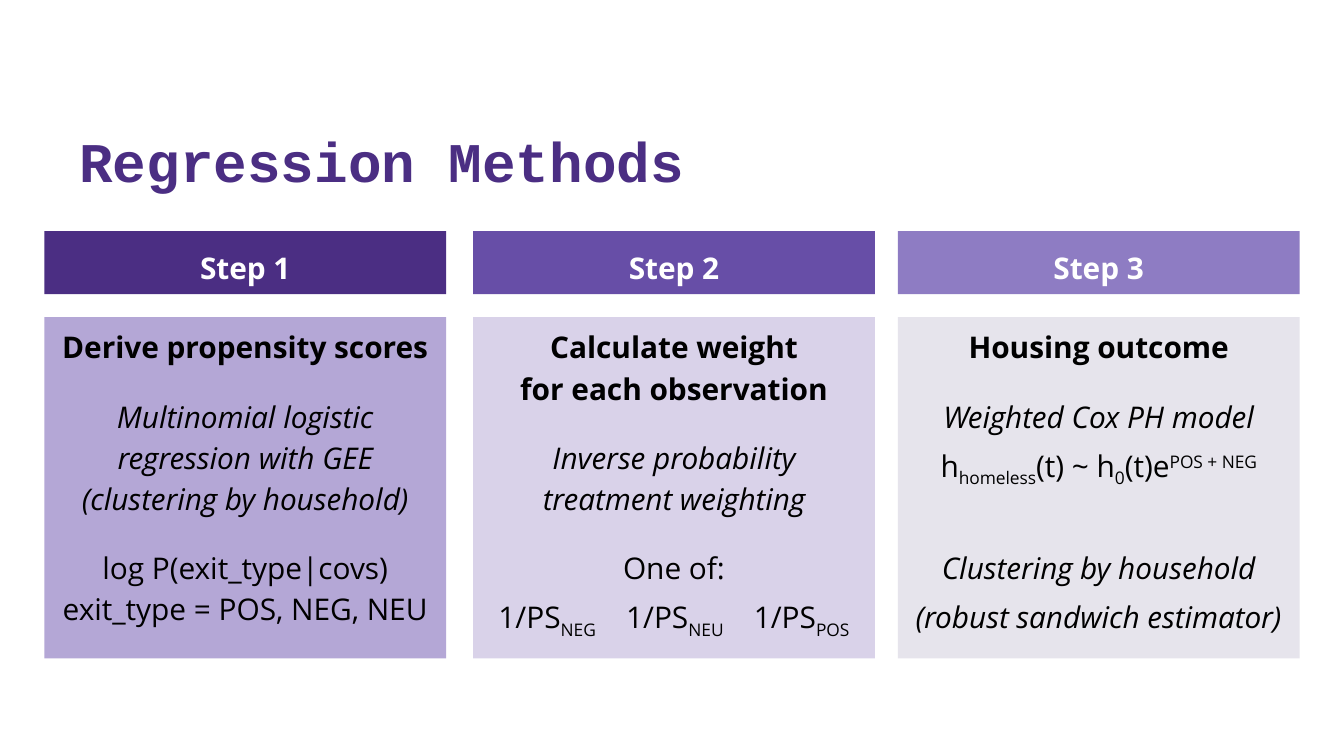
from dataclasses import dataclass

from lxml import etree
from pptx import Presentation
from pptx.dml.color import RGBColor
from pptx.enum.shapes import MSO_SHAPE
from pptx.enum.text import MSO_ANCHOR, MSO_AUTO_SIZE, PP_ALIGN
from pptx.oxml.ns import qn
from pptx.util import Inches, Pt

RECTANGLE = MSO_SHAPE.RECTANGLE
TOP, MIDDLE, BOTTOM = MSO_ANCHOR.TOP, MSO_ANCHOR.MIDDLE, MSO_ANCHOR.BOTTOM
LEFT, CENTER = PP_ALIGN.LEFT, PP_ALIGN.CENTER
NO_FIT = MSO_AUTO_SIZE.NONE
TITLE_ONLY = 5


@dataclass(frozen=True)
class Theme:
    title_font: str = "Courier New"
    body_font: str = "Open Sans"
    title_size: int = 30
    body_size: int = 16
    purple: str = "4B2E83"
    white: str = "FFFFFF"
    black: str = "000000"
    line_spacing: float = 1.15
    gap: int = 15        # points between groups of lines
    small_gap: int = 4   # points before a formula line


THEME = Theme()
HEADING = {"bold": True, "italic": False}
METHOD = {"bold": False, "italic": True}
PLAIN = {"bold": False, "italic": False}
SUB, SUPER = -25, 30
WEIGHT_TABS = (0.09, 1.04, 1.99)
GAP, SMALL = THEME.gap, THEME.small_gap

# Each line: format, space before, spans of (text, baseline shift), tab stops
STEPS = [
    ("Step 1", 0.33, THEME.purple, "B4A7D6", [
        (HEADING, 0, [("Derive propensity scores", 0)], ()),
        (METHOD, GAP, [("Multinomial logistic regression with GEE", 0)], ()),
        (METHOD, 0, [("(clustering by household)", 0)], ()),
        (PLAIN, GAP, [("log P(exit_type|covs)", 0)], ()),
        (PLAIN, 0, [("exit_type = POS, NEG, NEU", 0)], ()),
    ]),
    ("Step 2", 3.52, "674EA7", "D9D2E9", [
        (HEADING, 0, [("Calculate weight", 0)], ()),
        (HEADING, 0, [("for each observation", 0)], ()),
        (METHOD, GAP, [("Inverse probability treatment weighting", 0)], ()),
        (PLAIN, GAP, [("One of:", 0)], ()),
        (PLAIN, SMALL, [span for group in ("NEG", "NEU", "POS")
                        for span in (("\t1/PS", 0), (group, SUB))],
         WEIGHT_TABS),
    ]),
    ("Step 3", 6.68, "8E7CC3", "E6E4EC", [
        (HEADING, 0, [("Housing outcome", 0)], ()),
        (METHOD, GAP, [("Weighted Cox PH model", 0)], ()),
        (PLAIN, SMALL, [("h", 0), ("homeless", SUB), ("(t) ~ h", 0),
                        ("0", SUB), ("(t)e", 0), ("POS + NEG", SUPER)], ()),
        (METHOD, 2 * GAP, [("Clustering by household", 0)], ()),
        (METHOD, SMALL, [("(robust sandwich estimator)", 0)], ()),
    ]),
]


class PageBuilder:
    """Holds the theme and the current page."""

    def __init__(self, theme, page):
        self.theme = theme
        self.page = page

    def apply(self, target, values):
        for name, value in values.items():
            setattr(target, name, value)

    def set_frame(self, frame, anchor, top=0.05, bottom=0.05):
        self.apply(frame, {
            "word_wrap": True, "auto_size": NO_FIT, "vertical_anchor": anchor,
            "margin_left": Inches(0.1), "margin_right": Inches(0.1),
            "margin_top": Inches(top), "margin_bottom": Inches(bottom)})

    def set_font(self, span, font, size, color, style):
        self.apply(span.font, {"name": font, "size": Pt(size), **style})
        span.font.color.rgb = RGBColor.from_string(color)

    def title(self, text, left, top, width, height):
        box = self.page.shapes.title
        self.apply(box, {"left": Inches(left), "top": Inches(top),
                         "width": Inches(width), "height": Inches(height)})
        self.set_frame(box.text_frame, BOTTOM)
        para = box.text_frame.paragraphs[0]
        para.alignment = LEFT
        span = para.add_run()
        span.text = text
        self.set_font(span, self.theme.title_font, self.theme.title_size,
                      self.theme.purple, HEADING)

    def panel(self, left, top, width, height, fill):
        box = self.page.shapes.add_shape(
            RECTANGLE, Inches(left), Inches(top), Inches(width), Inches(height))
        box.shadow.inherit = False
        box.fill.solid()
        box.fill.fore_color.rgb = RGBColor.from_string(fill)
        box.line.fill.background()
        return box.text_frame

    def tab_stops(self, para, positions):
        stops = etree.SubElement(para._p.get_or_add_pPr(), qn("a:tabLst"))
        for position in positions:
            etree.SubElement(stops, qn("a:tab"),
                             pos=str(Inches(position)), algn="l")

    def lines(self, frame, lines, color):
        for index, (style, space, spans, tabs) in enumerate(lines):
            para = frame.add_paragraph() if index else frame.paragraphs[0]
            if tabs:
                self.tab_stops(para, tabs)
            self.apply(para, {"alignment": LEFT if tabs else CENTER,
                              "line_spacing": self.theme.line_spacing,
                              "space_before": Pt(space)})
            for text, shift in spans:
                span = para.add_run()
                span.text = text
                self.set_font(span, self.theme.body_font,
                              self.theme.body_size, color, style)
                if shift:
                    span._r.get_or_add_rPr().set("baseline", str(shift * 1000))

    def step(self, name, left, header_fill, body_fill, lines):
        header = self.panel(left, 1.72, 2.99, 0.47, header_fill)
        self.set_frame(header, MIDDLE, top=0.1, bottom=0.07)
        self.lines(header, [(HEADING, 0, [(name, 0)], ())], self.theme.white)
        body = self.panel(left, 2.36, 2.99, 2.54, body_fill)
        self.set_frame(body, TOP)
        self.lines(body, lines, self.theme.black)


def main():
    # Widescreen page, 16 to 9
    deck = Presentation()
    deck.slide_width = Inches(10)
    deck.slide_height = deck.slide_width * 9 // 16
    page = deck.slides.add_slide(deck.slide_layouts[TITLE_ONLY])
    builder = PageBuilder(THEME, page)

    # Title
    builder.title("Regression Methods", 0.49, 0.4, 8.96, 1.09)

    # Three step columns
    for step in STEPS:
        builder.step(*step)

    deck.save("out.pptx")


if __name__ == "__main__":
    main()
